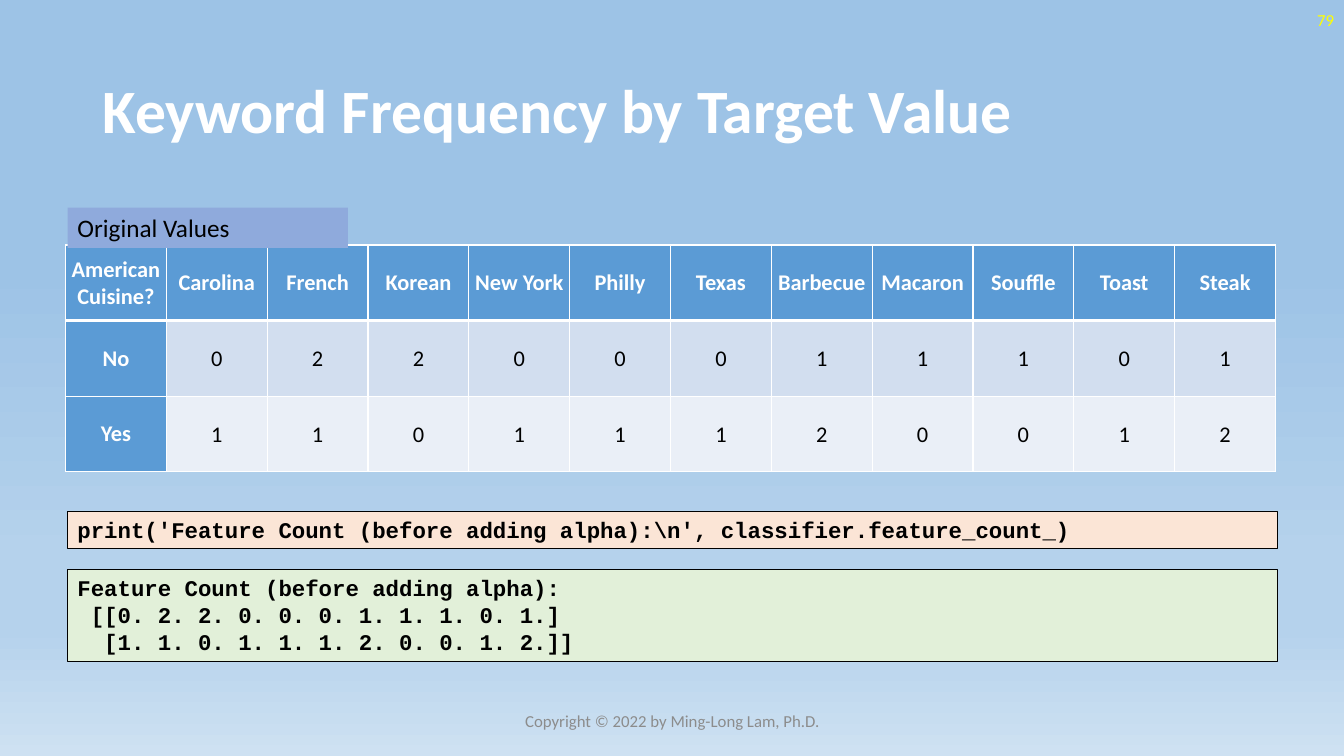
from pptx import Presentation, util as u
from pptx.dml.color import RGBColor
from pptx.enum import shapes, text
from pptx.oxml.ns import qn
from lxml import etree

WHITE, BLACK, BLUE = "FFFFFF", "000000", "5B9BD5"
LEFT, CENTER, RIGHT = text.PP_ALIGN.LEFT, text.PP_ALIGN.CENTER, text.PP_ALIGN.RIGHT
MIDDLE, TOP = text.MSO_ANCHOR.MIDDLE, text.MSO_ANCHOR.TOP

SKY = [(35, "9DC3E6"), (74, "B5D2EC"), (83, "B5D2EC"), (100, "CEE1F2")]
COUNTS = [
    ["American Cuisine?", "Carolina", "French", "Korean", "New York", "Philly",
     "Texas", "Barbecue", "Macaron", "Souffle", "Toast", "Steak"],
    ["No", 0, 2, 2, 0, 0, 0, 1, 1, 1, 0, 1],
    ["Yes", 1, 1, 0, 1, 1, 1, 2, 0, 0, 1, 2],
]
ROW_FILLS = [BLUE, "D2DEEF", "EAEFF7"]
PRINT_CODE = r"print('Feature Count (before adding alpha):\n', classifier.feature_count_)"
OUTPUT = [
    "Feature Count (before adding alpha):",
    " [[0. 2. 2. 0. 0. 0. 1. 1. 1. 0. 1.]",
    "  [1. 1. 0. 1. 1. 1. 2. 0. 0. 1. 2.]]",
]


def rgb(value):
    return RGBColor.from_string(value)


class SlideBuilder:
    """Places elements on a grid of 1 inch columns and 0.25 inch rows."""
    MARGIN, COLUMN, ROW = 0.67, 1, 0.25
    BODY, CODE = "Calibri", "Courier New"

    def __init__(self, prs):
        self.s = prs.slides.add_slide(prs.slide_layouts[6])

    def place(self, col, row, cols, rows):
        return (u.Inches(self.MARGIN + col * self.COLUMN), u.Inches(row * self.ROW),
                u.Inches(cols * self.COLUMN), u.Inches(rows * self.ROW))

    def background(self, stops):
        fill = self.s.background.fill
        fill.gradient()
        fill.gradient_angle = 270
        stop_list = self.s.element.find(".//" + qn("a:gsLst"))
        for old in list(stop_list):
            stop_list.remove(old)
        for percent, color in stops:
            stop = etree.SubElement(stop_list, qn("a:gs"), pos=str(percent * 1000))
            etree.SubElement(stop, qn("a:srgbClr"), val=color)

    def add_lines(self, tf, lines, size, color=BLACK, bold=False, font=BODY,
                  align=LEFT, spacing=None):
        tf.word_wrap = True
        for i, line in enumerate(lines):
            p = tf.add_paragraph() if i else tf.paragraphs[0]
            p.alignment = align
            if spacing:
                p.line_spacing = spacing
            r = p.add_run()
            r.text = line
            r.font.name, r.font.size, r.font.bold = font, u.Pt(size), bold
            r.font.color.rgb = rgb(color)

    def label(self, at, line, size, color, **style):
        tf = self.s.shapes.add_textbox(*self.place(*at)).text_frame
        tf.vertical_anchor = MIDDLE
        self.add_lines(tf, [line], size, color, **style)

    def box(self, at, lines, fill, size, outline=None, **style):
        sp = self.s.shapes.add_shape(shapes.MSO_SHAPE.RECTANGLE, *self.place(*at))
        sp.shadow.inherit = False
        sp.fill.solid()
        sp.fill.fore_color.rgb = rgb(fill)
        if outline:
            sp.line.color.rgb = rgb(outline)
            sp.line.width = u.Pt(0.75)
        else:
            sp.line.fill.background()
        sp.text_frame.vertical_anchor = TOP
        self.add_lines(sp.text_frame, lines, size, **style)

    def code(self, at, lines, fill):
        self.box(at, lines, fill, 16, BLACK, bold=True, font=self.CODE)

    def border(self, cell, side, points):
        ln = etree.SubElement(cell._tc.get_or_add_tcPr(), qn("a:" + side),
                              w=str(u.Pt(points)))
        solid = etree.SubElement(ln, qn("a:solidFill"))
        etree.SubElement(solid, qn("a:srgbClr"), val=WHITE)

    def table(self, at, values, fills):
        frame = self.s.shapes.add_table(len(values), len(values[0]), *self.place(*at))
        table = frame.table
        table.first_row = table.horz_banding = False
        for i, row in enumerate(values):
            for j, value in enumerate(row):
                cell = table.cell(i, j)
                heading = i == 0 or j == 0
                for side in ("lnL", "lnR", "lnT", "lnB"):
                    under_header = (i, side) in ((0, "lnB"), (1, "lnT"))
                    self.border(cell, side, 3 if under_header else 1)
                cell.fill.solid()
                cell.fill.fore_color.rgb = rgb(BLUE if heading else fills[i])
                cell.vertical_anchor = MIDDLE
                if i == 0 or j > 0:
                    cell.margin_left = cell.margin_right = cell.margin_top = u.Inches(0.01)
                    cell.margin_bottom = 0
                self.add_lines(cell.text_frame, [str(value)], 16,
                               WHITE if heading else BLACK, bold=heading, align=CENTER)


def main():
    prs = Presentation()
    prs.slide_width, prs.slide_height = u.Inches(13.33), u.Inches(7.5)
    slide = SlideBuilder(prs)
    slide.background(SKY)
    slide.label((0.25, 1.6, 11.5, 5.8), "Keyword Frequency by Target Value", 44, WHITE,
                bold=True, spacing=0.9)
    slide.table((-0.02, 9.72, 12, 9), COUNTS, ROW_FILLS)
    slide.label((9.66, 0, 3, 1.6), "79", 12, "FFFF00", align=RIGHT)
    slide.label((3.75, 27.8, 4.5, 1.6), "Copyright © 2022 by Ming-Long Lam, Ph.D.", 12,
                "8C8C8C", align=CENTER)
    slide.box((0, 8.24, 2.78, 1.6), ["Original Values"], "8FAADC", 18)
    slide.code((0, 20.28, 12, 1.48), [PRINT_CODE], "FBE5D6")
    slide.code((0, 22.6, 12, 3.64), OUTPUT, "E2F0D9")
    prs.save("out.pptx")


if __name__ == "__main__":
    main()
